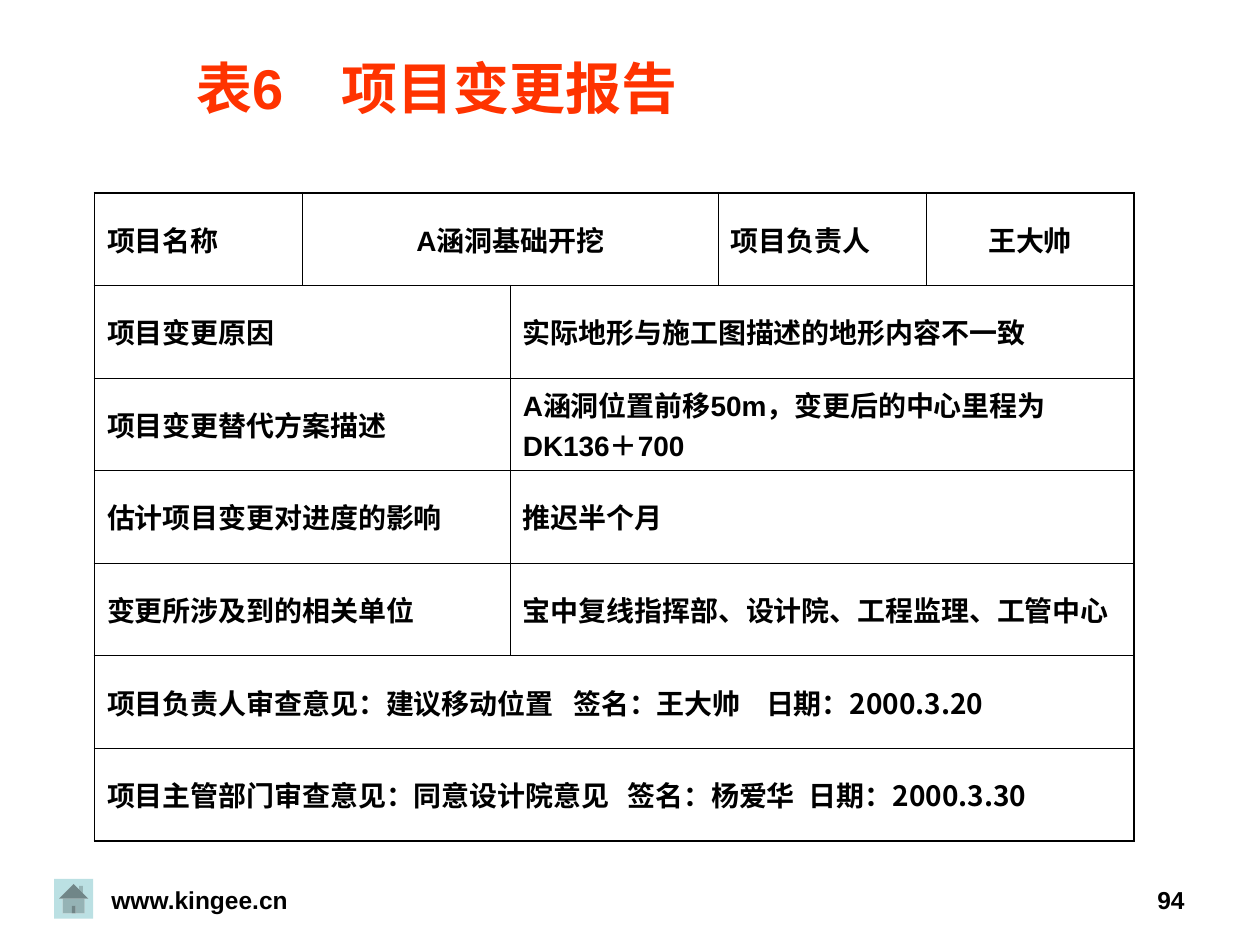
from lxml.etree import SubElement
from pptx import Presentation
from pptx.dml.color import RGBColor
from pptx.enum.shapes import MSO_SHAPE as Shape
from pptx.enum.text import MSO_ANCHOR as Anchor, PP_ALIGN as Align
from pptx.oxml import parse_xml
from pptx.oxml.ns import nsdecls, qn
from pptx.util import Inches, Pt

BLACK, RED, TEAL, WHITE = "000000", "FF3300", "BBE0E3", "FFFFFF"
LATIN, CHINESE = "Arial", "Noto Sans CJK SC"
THIN, THICK = 0.45, 1.08
COLUMNS, ROWS = 5, 7

deck = Presentation()
deck.slide_width, deck.slide_height = Inches(10), Inches(7.5)
page = deck.slides.add_slide(deck.slide_layouts[5])
color = RGBColor.from_string


def area(left, top, width, height):
    """Turn shares of the slide's size into lengths."""
    wide, high = deck.slide_width, deck.slide_height
    return int(left * wide), int(top * high), int(width * wide), int(height * high)


def write(frame, text, size, align=Align.LEFT, ink=BLACK, font=LATIN, stops=()):
    """Fill a text frame with one bold paragraph; stops are tab positions in inches."""
    frame.word_wrap = True
    para = frame.paragraphs[0]
    para.alignment = align
    if stops:
        tabs = SubElement(para._p.get_or_add_pPr(), qn("a:tabLst"))
        for stop in stops:
            SubElement(tabs, qn("a:tab"), pos=str(Inches(stop)), algn="l")
    span = para.add_run()
    span.text = text
    for name, value in {"size": Pt(size), "bold": True, "name": font}.items():
        setattr(span.font, name, value)
    span.font.color.rgb = color(ink)
    SubElement(span._r.get_or_add_rPr(), qn("a:ea"), typeface=CHINESE)
    return span


# Title with a hard black shadow
title = page.shapes.title
title.left, title.top, title.width, title.height = area(0.146, 0.07, 0.48, 0.044)
title.text_frame.vertical_anchor = Anchor.MIDDLE
heading = write(title.text_frame, "表6\t项目变更报告", 32, ink=RED, stops=[1.15])
heading._r.rPr.find(qn("a:solidFill")).addnext(parse_xml(
    f'<a:effectLst {nsdecls("a")}><a:outerShdw dist="25400" dir="2700000">'
    f'<a:srgbClr val="{BLACK}"/></a:outerShdw></a:effectLst>'))

# Footer
home = page.shapes.add_shape(Shape.ACTION_BUTTON_HOME, *area(0.043, 0.93, 0.031, 0.042))
home.shadow.inherit = False
home.fill.solid()
home.fill.fore_color.rgb = color(TEAL)
home.line.fill.background()
for text, left, width, align in [("www.kingee.cn", 0, 0.317, Align.CENTER),
                                 ("94", 0.717, 0.233, Align.RIGHT)]:
    box = page.shapes.add_textbox(*area(left, 0.93, width, 0.07))
    write(box.text_frame, text, 14, align)

# Report table: each entry is (columns spanned, text, alignment, font, tab stops)
LABEL = (Align.LEFT, CHINESE, ())
VALUE = (Align.LEFT, LATIN, ())
CENTERED = (Align.CENTER, LATIN, ())
pairs = [
    ("项目变更原因", "实际地形与施工图描述的地形内容不一致"),
    ("项目变更替代方案描述", "A涵洞位置前移50m，变更后的中心里程为DK136＋700"),
    ("估计项目变更对进度的影响", "推迟半个月"),
    ("变更所涉及到的相关单位", "宝中复线指挥部、设计院、工程监理、工管中心"),
]
report = [
    [(1, "项目名称", *LABEL), (2, "A涵洞基础开挖", *CENTERED),
     (1, "项目负责人", *LABEL), (1, "王大帅", *CENTERED)],
    *[[(2, label, *LABEL), (3, value, *VALUE)] for label, value in pairs],
    [(5, "项目负责人审查意见：建议移动位置\t签名：王大帅\t日期：2000.3.20",
      Align.LEFT, CHINESE, (3.7, 5.23))],
    [(5, "项目主管部门审查意见：同意设计院意见\t签名：杨爱华\t日期：2000.3.30",
      Align.LEFT, CHINESE, (4.13, 5.57))],
]
table = page.shapes.add_table(ROWS, COLUMNS, *area(0.075, 0.204, 0.825, 0.686)).table
table.first_row = table.horz_banding = False

for row, entries in enumerate(report):
    column = 0
    for width, text, align, font, stops in entries:
        cell = table.cell(row, column)
        end = column + width
        if width > 1:
            cell.merge(table.cell(row, end - 1))
        cell.vertical_anchor = Anchor.MIDDLE
        write(cell.text_frame, text, 16, align, font=font, stops=stops)
        outer = {"L": column == 0, "R": end == COLUMNS, "T": row == 0, "B": row == ROWS - 1}
        for covered in range(column, end):
            part = table.cell(row, covered)
            for side, is_outer in outer.items():
                line = SubElement(part._tc.get_or_add_tcPr(), qn(f"a:ln{side}"),
                                  w=str(Pt(THICK if is_outer else THIN)))
                fill = SubElement(line, qn("a:solidFill"))
                SubElement(fill, qn("a:srgbClr"), val=BLACK)
            part.fill.solid()
            part.fill.fore_color.rgb = color(WHITE)
        column = end

deck.save("out.pptx")
